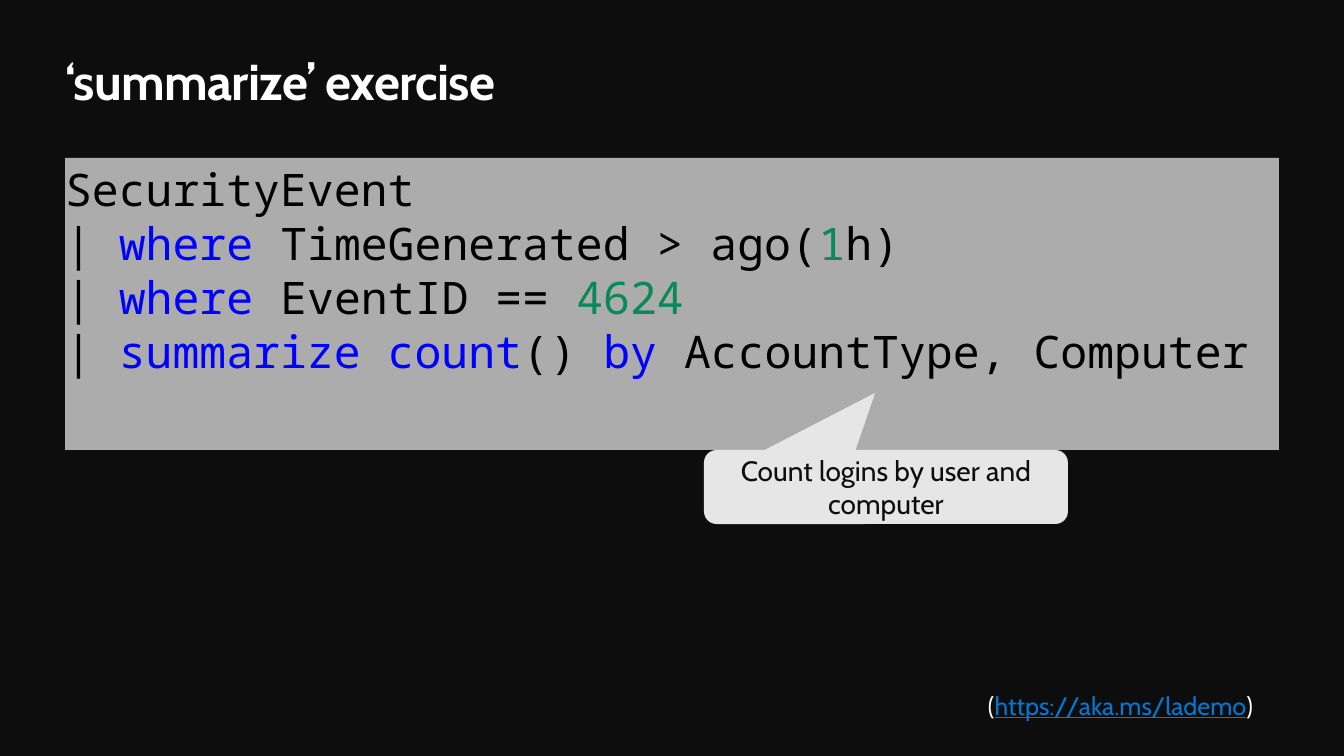
import pptx
import pptx.util
import pptx.dml.color
import pptx.enum.shapes
import pptx.enum.text
from dataclasses import dataclass

Pt = pptx.util.Pt
Shape = pptx.enum.shapes.MSO_SHAPE
Align = pptx.enum.text.PP_ALIGN
Anchor = pptx.enum.text.MSO_ANCHOR
EMU_PER_PX = 914400 / 100.8


@dataclass(frozen=True)
class Theme:
    background: str = "0D0D0D"
    text: str = "FFFFFF"
    link: str = "0078D4"
    panel: str = "ACACAC"
    code: str = "000000"
    keyword: str = "0000FF"
    number: str = "09885A"
    bubble: str = "E6E6E6"
    sans: str = "Cabin"
    mono: str = "Noto Sans Mono"
    title_size: float = 36
    code_size: float = 32
    code_pitch: float = 38.6
    bubble_size: float = 20
    link_size: float = 18


THEME = Theme()

# Each query line is a list of (text, colour) pieces
QUERY = [
    [("SecurityEvent", THEME.code)],
    [("| ", THEME.code), ("where", THEME.keyword),
     (" TimeGenerated > ago(", THEME.code), ("1", THEME.number), ("h)", THEME.code)],
    [("| ", THEME.code), ("where ", THEME.keyword),
     ("EventID == ", THEME.code), ("4624", THEME.number)],
    [("| ", THEME.code), ("summarize count", THEME.keyword), ("() ", THEME.code),
     ("by ", THEME.keyword), ("AccountType, Computer", THEME.code)],
]


def px(length):
    return pptx.util.Emu(round(length * EMU_PER_PX))


def rgb(colour):
    return pptx.dml.color.RGBColor.from_string(colour)


def apply(target, formats):
    for attribute, value in formats.items():
        setattr(target, attribute, value)


def set_frame(frame, anchor, insets):
    left, top, right, bottom = map(px, insets)
    apply(frame, dict(word_wrap=True, vertical_anchor=anchor, margin_left=left,
                      margin_top=top, margin_right=right, margin_bottom=bottom,
                      auto_size=pptx.enum.text.MSO_AUTO_SIZE.NONE))


def write(paragraph, pieces, align=Align.LEFT, **font_formats):
    paragraph.alignment = align
    for text, colour in pieces:
        run = paragraph.add_run()
        run.text = text
        apply(run.font, font_formats)
        run.font.color.rgb = rgb(colour)


def add_panel(slide, kind, box, fill):
    panel = slide.shapes.add_shape(kind, *map(px, box))
    panel.shadow.inherit = False
    panel.fill.solid()
    panel.fill.fore_color.rgb = rgb(fill)
    panel.line.fill.background()
    return panel


# Heading
def place_title(slide, box):
    title = slide.shapes.title
    apply(title, dict(zip(("left", "top", "width", "height"), map(px, box))))
    set_frame(title.text_frame, Anchor.TOP, (0, 0, 0, 0))
    heading = title.text_frame.paragraphs[0]
    write(heading, [("‘summarize’ exercise", THEME.text)],
          name=THEME.sans, size=Pt(THEME.title_size), bold=True)
    heading.runs[0].font._element.set("spc", "-50")


# Query on its grey panel
def place_query(slide, box):
    frame = add_panel(slide, Shape.RECTANGLE, box, THEME.panel).text_frame
    set_frame(frame, Anchor.TOP, (0, 3, 0, 0))
    for index, pieces in enumerate(QUERY):
        line = frame.add_paragraph() if index else frame.paragraphs[0]
        line.line_spacing = Pt(THEME.code_pitch)
        write(line, pieces, name=THEME.mono, size=Pt(THEME.code_size))


# Link to the demo
def place_link(slide, box):
    frame = slide.shapes.add_textbox(*map(px, box)).text_frame
    set_frame(frame, Anchor.TOP, (10, 5, 10, 5))
    line = frame.paragraphs[0]
    write(line, [("(", THEME.text), ("https://aka.ms/lademo", THEME.link),
                 (")", THEME.text)], name=THEME.sans, size=Pt(THEME.link_size))
    line.runs[1].font.underline = True


# Callout pointing at the grouping columns
def place_callout(slide, box):
    callout = add_panel(slide, Shape.ROUNDED_RECTANGULAR_CALLOUT, box, THEME.bubble)
    for index, value in enumerate((-0.03, -1.27, 0.17)):
        callout.adjustments[index] = value
    set_frame(callout.text_frame, Anchor.MIDDLE, (4, 4, 4, 4))
    write(callout.text_frame.paragraphs[0],
          [("Count logins by user and computer", THEME.background)],
          Align.CENTER, name=THEME.sans, size=Pt(THEME.bubble_size))


def build_exercise(deck):
    slide = deck.slides.add_slide(deck.slide_layouts[5])
    slide.background.fill.solid()
    slide.background.fill.fore_color.rgb = rgb(THEME.background)
    margin, width = 65, 1214
    query_top, query_height = 158, 292
    place_title(slide, (margin, 50, width, 62))
    place_query(slide, (margin, query_top, width, query_height))
    place_link(slide, (978, 685, 301, 40))
    place_callout(slide, (704, query_top + query_height, 364, 74))


def main():
    deck = pptx.Presentation()
    apply(deck, dict(slide_width=px(1344), slide_height=px(756)))
    build_exercise(deck)
    deck.save("out.pptx")


if __name__ == "__main__":
    main()
